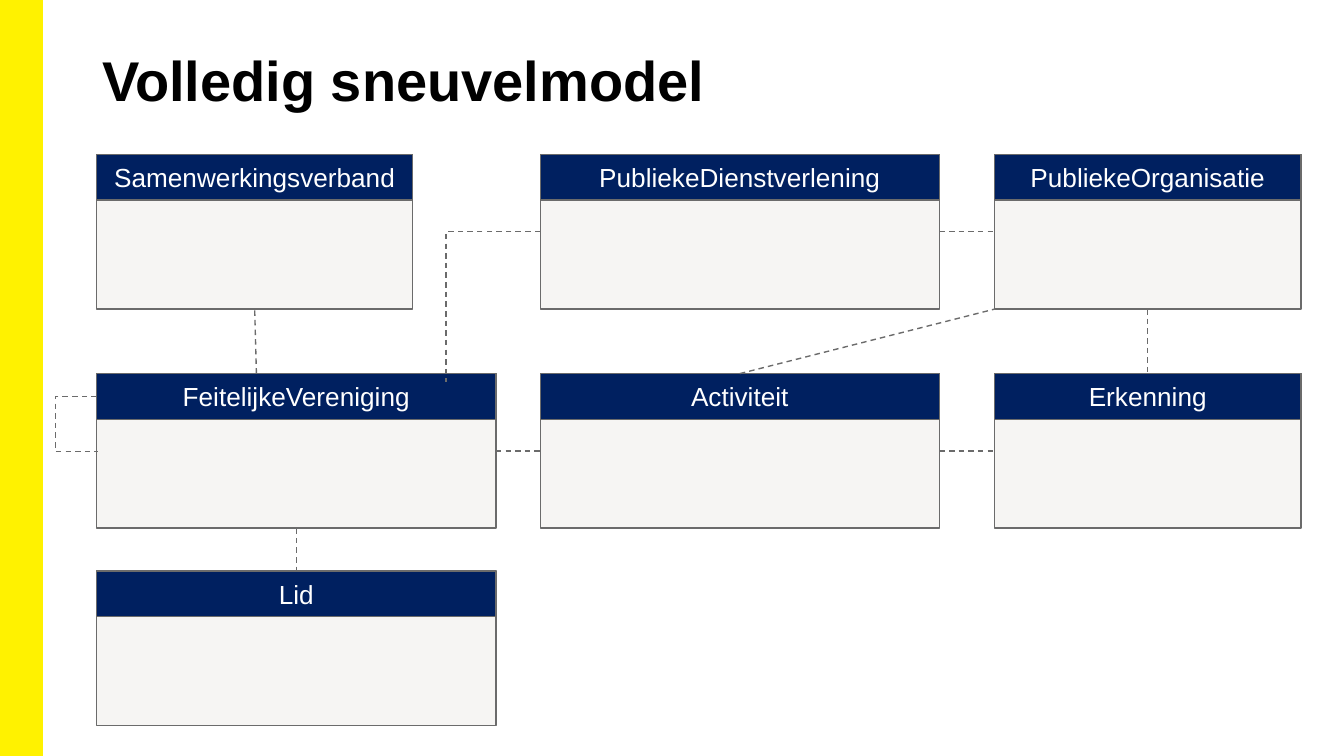
import pptx
import pptx.util
import pptx.dml.color
import pptx.enum.dml
import pptx.enum.shapes
import pptx.enum.text
import pptx.oxml.ns
import lxml.etree
from dataclasses import dataclass

Inches, Pt = pptx.util.Inches, pptx.util.Pt
RGB = pptx.dml.color.RGBColor.from_string
STRAIGHT = pptx.enum.shapes.MSO_CONNECTOR.STRAIGHT
ELBOW = pptx.enum.shapes.MSO_CONNECTOR.ELBOW


@dataclass(frozen=True)
class Theme:
    font: str = "Arial"
    accent: str = "FFF200"
    header: str = "002060"
    body: str = "F6F5F3"
    outline: str = "6B6B6B"
    title_text: str = "000000"
    header_text: str = "FFFFFF"
    title_size: float = 30
    header_size: float = 14
    line_width: float = 0.75


theme = Theme()

# Grid, in inches
SLIDE_WIDTH = 10
SLIDE_HEIGHT = SLIDE_WIDTH * 9 / 16
LEFTS = (0.72, 4.02, 7.4)
TOPS = (1.15, 2.78, 4.25)
WIDE, MEDIUM, NARROW = 2.97, 2.35, 2.28
ENTITY_HEIGHT, HEADER_HEIGHT = 1.15, 0.34

# name: (column, row, width)
entities = {
    "FeitelijkeVereniging": (0, 1, WIDE),
    "PubliekeDienstverlening": (1, 0, WIDE),
    "PubliekeOrganisatie": (2, 0, NARROW),
    "Activiteit": (1, 1, WIDE),
    "Erkenning": (2, 1, NARROW),
    "Lid": (0, 2, WIDE),
    "Samenwerkingsverband": (0, 0, MEDIUM),
}


def add_rectangle(shapes, left, top, width, height, fill, outline, line_width):
    rectangle = shapes.add_shape(
        pptx.enum.shapes.MSO_SHAPE.RECTANGLE,
        Inches(left), Inches(top), Inches(width), Inches(height))
    rectangle.shadow.inherit = False
    rectangle.fill.solid()
    rectangle.fill.fore_color.rgb = RGB(fill)
    rectangle.line.color.rgb = RGB(outline)
    rectangle.line.width = Pt(line_width)
    return rectangle


def anchor(name, across, down):
    """Point on an entity, as shares of its width and height."""
    column, row, width = entities[name]
    return LEFTS[column] + across * width, TOPS[row] + down * ENTITY_HEIGHT


presentation = pptx.Presentation()
presentation.slide_width = Inches(SLIDE_WIDTH)
presentation.slide_height = Inches(SLIDE_HEIGHT)
slide = presentation.slides.add_slide(presentation.slide_layouts[6])

add_rectangle(slide.shapes, 0, 0, 0.31, SLIDE_HEIGHT, theme.accent, theme.accent, 1)

title = slide.shapes.add_textbox(Inches(0.69), Inches(0.3), Inches(8.97), Inches(1.05)).text_frame
title.word_wrap = True
title.margin_left = title.margin_right = Inches(0.07)
title.margin_top = title.margin_bottom = Inches(0.04)
heading = title.paragraphs[0]
heading.text = "Volledig sneuvelmodel"
heading.font.name = theme.font
heading.font.size = Pt(theme.title_size)
heading.font.bold = True
heading.font.color.rgb = RGB(theme.title_text)

for name, (column, row, width) in entities.items():
    entity = slide.shapes.add_group_shape().shapes
    left, top = LEFTS[column], TOPS[row]
    add_rectangle(entity, left, top, width, ENTITY_HEIGHT,
                  theme.body, theme.outline, theme.line_width)
    header = add_rectangle(entity, left, top, width, HEADER_HEIGHT,
                           theme.header, theme.outline, theme.line_width).text_frame
    header.word_wrap = True
    header.vertical_anchor = pptx.enum.text.MSO_ANCHOR.MIDDLE
    header.margin_left = header.margin_right = Inches(0.1)
    header.margin_top = header.margin_bottom = Inches(0.1)
    label = header.paragraphs[0]
    label.text = name
    label.alignment = pptx.enum.text.PP_ALIGN.CENTER
    label.font.name = theme.font
    label.font.size = Pt(theme.header_size)
    label.font.color.rgb = RGB(theme.header_text)

# (kind, start, end)
relations = [
    (kind, anchor(start, *start_share), anchor(end, *end_share))
    for kind, start, start_share, end, end_share in (
        (ELBOW, "Activiteit", (1, 0.5), "Erkenning", (0, 0.5)),
        (ELBOW, "PubliekeOrganisatie", (0.5, 1), "Erkenning", (0.5, 0)),
        (ELBOW, "PubliekeDienstverlening", (1, 0.5), "PubliekeOrganisatie", (0, 0.5)),
        (ELBOW, "FeitelijkeVereniging", (1, 0.5), "Activiteit", (0, 0.5)),
        (STRAIGHT, "Activiteit", (0.5, 0), "PubliekeOrganisatie", (0, 1)),
        (STRAIGHT, "FeitelijkeVereniging", (0.5, 1), "Lid", (0.5, 0)),
        (STRAIGHT, "FeitelijkeVereniging", (0.4, 0), "Samenwerkingsverband", (0.5, 1)),
    )
]
corner = (ELBOW, anchor("PubliekeDienstverlening", 0, 0.5), (3.32, 2.84))
self_relation = (ELBOW, (0.72, 2.95), (0.73, 3.36))
SELF_RELATION_REACH = -31  # bend position, in multiples of the connector's width

for relation in relations + [corner, self_relation]:
    kind, start, end = relation
    connector = slide.shapes.add_connector(kind, *(Inches(length) for length in start + end))
    connector.line.color.rgb = RGB(theme.outline)
    connector.line.width = Pt(theme.line_width)
    connector.line.dash_style = pptx.enum.dml.MSO_LINE.DASH
    properties = connector.element.spPr
    lxml.etree.SubElement(properties, pptx.oxml.ns.qn("a:effectLst"))
    geometry = properties.find(pptx.oxml.ns.qn("a:prstGeom"))
    if relation is corner:
        geometry.set("prst", "bentConnector2")
    elif relation is self_relation:
        bend = lxml.etree.SubElement(geometry.find(pptx.oxml.ns.qn("a:avLst")),
                                     pptx.oxml.ns.qn("a:gd"))
        bend.set("name", "adj1")
        bend.set("fmla", f"val {SELF_RELATION_REACH * 100000}")

presentation.save("out.pptx")
